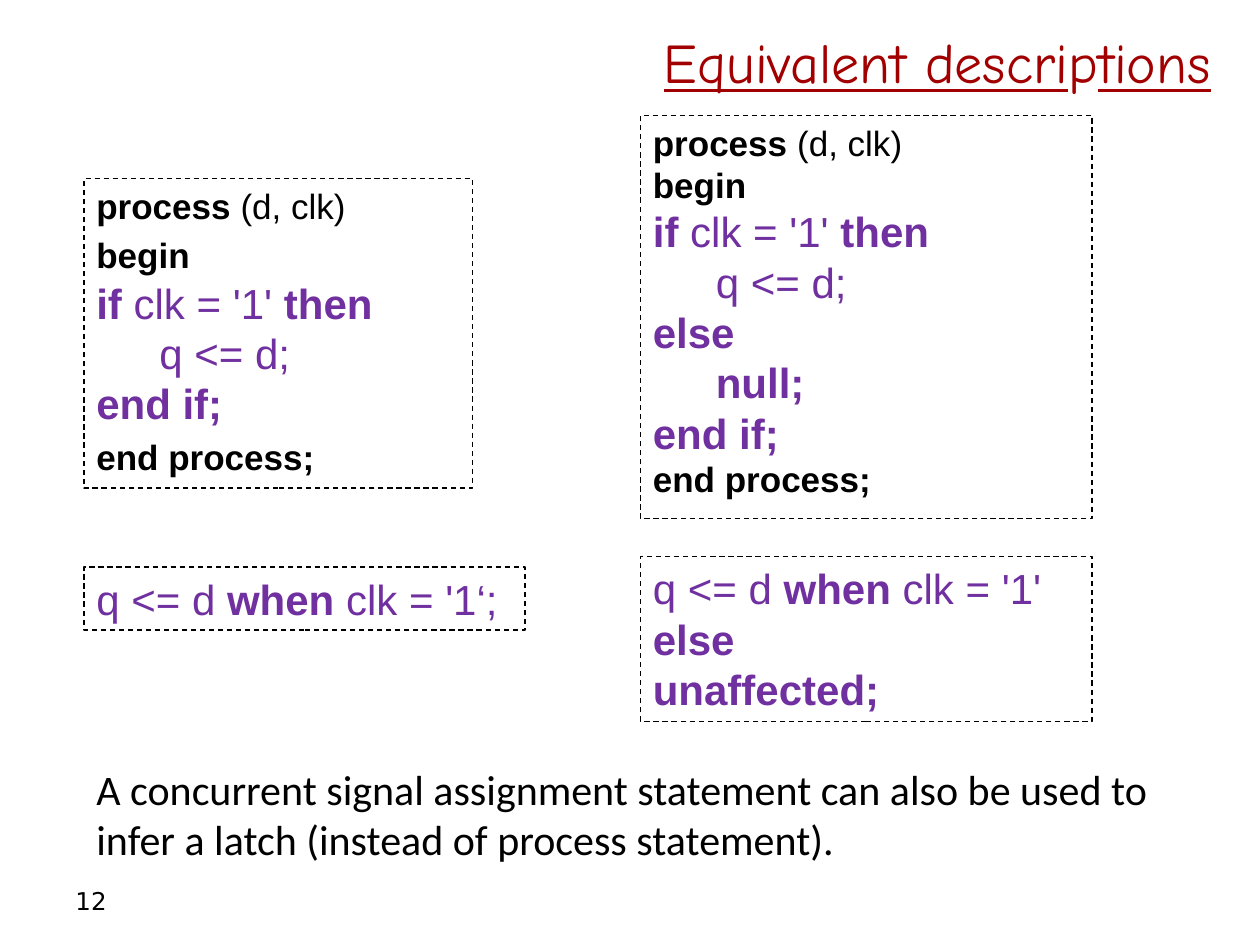
import pptx
import pptx.util
import pptx.dml.color
import pptx.enum.dml
import pptx.enum.shapes
import pptx.enum.text

THEME = {
    "black": "000000", "violet": "7030A0", "red": "A20000",
    "code_font": "Arial", "title_font": "Comic Neue",
    "body_font": "Calibri", "number_font": "DejaVu Sans",
    "title": 32, "large": 24, "small": 20, "number": 14, "outline": 0.75,
}

deck = pptx.Presentation()
deck.slide_width = pptx.util.Inches(10)
deck.slide_height = pptx.util.Inches(7.5)
slide = deck.slides.add_slide(deck.slide_layouts[6])
CELL = deck.slide_width / 120  # grid of 120 columns by 90 rows


def place(col, row, cols, rows, outlined=False):
    """Add a text area on the grid, optionally with a dashed outline."""
    area = [round(n * CELL) for n in (col, row, cols, rows)]
    if outlined:
        box = slide.shapes.add_shape(pptx.enum.shapes.MSO_SHAPE.RECTANGLE, *area)
        box.shadow.inherit = False
        box.fill.background()
        box.line.color.rgb = pptx.dml.color.RGBColor.from_string(THEME["black"])
        box.line.width = pptx.util.Pt(THEME["outline"])
        box.line.dash_style = pptx.enum.dml.MSO_LINE.DASH
    else:
        box = slide.shapes.add_textbox(*area)
    frame = box.text_frame
    frame.word_wrap = True
    frame.vertical_anchor = pptx.enum.text.MSO_ANCHOR.TOP
    return frame


def write(paragraph, text, font, size, color, bold=False, underline=False):
    """Append one formatted run."""
    run = paragraph.add_run()
    run.text = text
    run.font.name = THEME[font]
    run.font.size = pptx.util.Pt(THEME[size])
    run.font.color.rgb = pptx.dml.color.RGBColor.from_string(THEME[color])
    run.font.bold = bold
    run.font.underline = underline


# Slide number
number = place(6, 83.4, 28, 4.8)
number.vertical_anchor = pptx.enum.text.MSO_ANCHOR.MIDDLE
write(number.paragraphs[0], "12", "number_font", "number", "black")

# Title, underlined except below the descender of the p
title = place(6, 1.6, 110.5, 8.4)
title.vertical_anchor = pptx.enum.text.MSO_ANCHOR.MIDDLE
title.paragraphs[0].alignment = pptx.enum.text.PP_ALIGN.RIGHT
for part, underline in (("Equivalent descri", True), ("p", False), ("tions", True)):
    write(title.paragraphs[0], part, "title_font", "title", "red", underline=underline)

# Code styles: size, colour, bold
FRAME, FRAME_KEY = ("small", "black", False), ("small", "black", True)
CODE, KEY = ("large", "violet", False), ("large", "violet", True)

# Lines shared by the code boxes
process_line = [("process", FRAME_KEY), (" (d, clk)", FRAME)]
begin, end_process = ("begin", FRAME_KEY), ("end process;", FRAME_KEY)
if_line = [("if ", KEY), ("clk = '1' ", CODE), ("then", KEY)]
assign_line = [("\tq <= d;", CODE)]
end_if_line = [("end if;", KEY)]
when = [("q <= d ", CODE), ("when ", KEY)]

LEFT, RIGHT = 8, 61
listings = [
    # Process without else
    ((LEFT, 17, 37, 29.5),
     [process_line, [begin, ("\t\t", KEY)], if_line, assign_line, end_if_line,
      [end_process, ("\t", KEY)]]),
    # Process with a null else branch
    ((RIGHT, 11, 43, 38.4),
     [process_line, [begin], if_line, assign_line, [("else", KEY)],
      [("\tnull;", KEY)], end_if_line, [end_process]]),
    # Concurrent assignments
    ((LEFT, 54, 42, 6), [when + [("clk = '1‘;", CODE)]]),
    ((RIGHT, 53, 43, 15.7),
     [when + [("clk = '1' ", CODE), ("else", KEY)], [("unaffected;", KEY)]]),
]
for area, lines in listings:
    listing = place(*area, outlined=True)
    listing.auto_size = pptx.enum.text.MSO_AUTO_SIZE.SHAPE_TO_FIT_TEXT
    for index, line in enumerate(lines):
        paragraph = listing.add_paragraph() if index else listing.paragraphs[0]
        paragraph.alignment = pptx.enum.text.PP_ALIGN.LEFT
        for text, (size, color, bold) in line:
            write(paragraph, text, "code_font", size, color, bold)

# Closing remark
remark = place(LEFT, 72.1, 107, 10.9)
remark.auto_size = pptx.enum.text.MSO_AUTO_SIZE.SHAPE_TO_FIT_TEXT
write(remark.paragraphs[0],
      "A concurrent signal assignment statement can also be used to infer a latch "
      "(instead of process statement).", "body_font", "large", "black")

deck.save("out.pptx")
